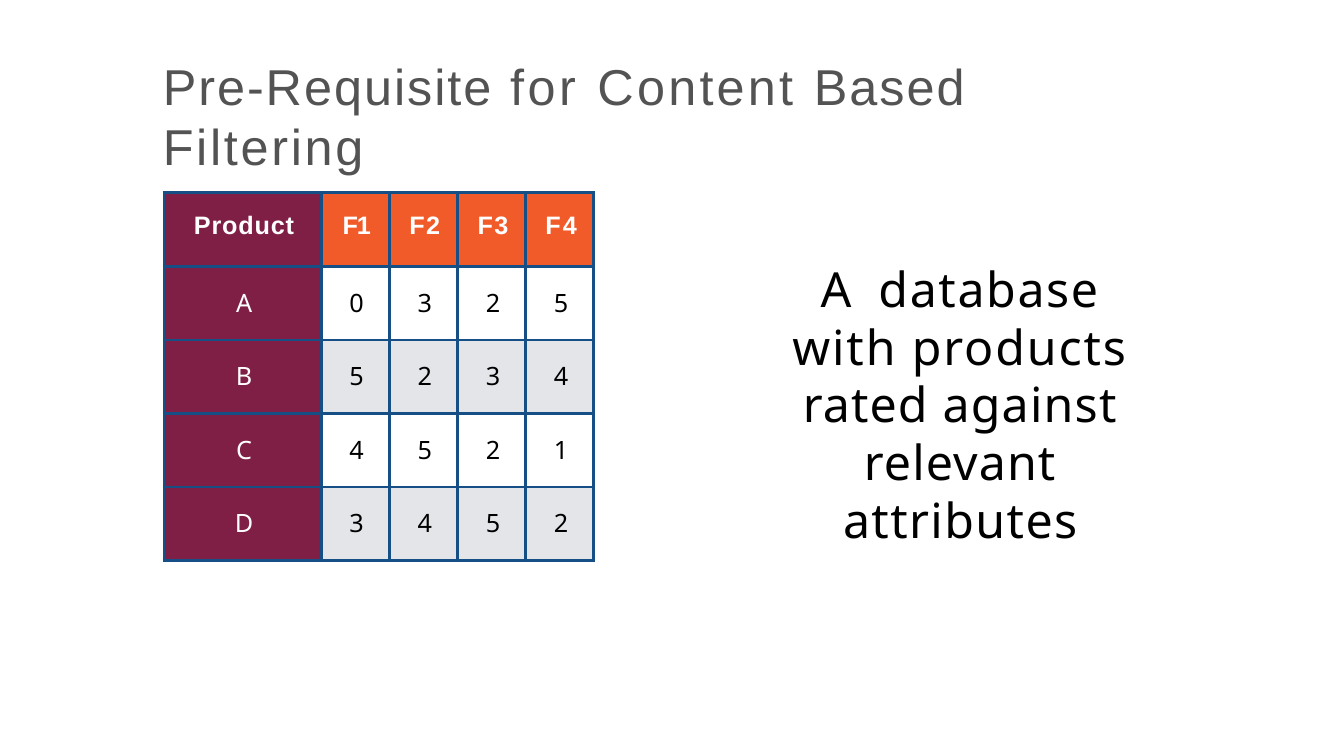
from lxml.etree import SubElement
from pptx import Presentation
from pptx.dml.color import RGBColor
from pptx.enum.text import MSO_ANCHOR, MSO_AUTO_SIZE, PP_ALIGN
from pptx.oxml.ns import qn
from pptx.util import Cm, Pt

COLORS = {
    "title": "535353",
    "body": "000000",
    "light": "FFFFFF",
    "product": "801F46",
    "feature": "F15B2A",
    "band": "E3E5E8",
    "border": "164F86",
}
RATINGS = [
    ["Product", "F1", "F2", "F3", "F4"],
    ["A", "0", "3", "2", "5"],
    ["B", "5", "2", "3", "4"],
    ["C", "4", "5", "2", "1"],
    ["D", "3", "4", "5", "2"],
]
HEADER_SPACING = [0.8, -1.1, 1.3, 1.3, 2.1]
TITLE = [("Pre-Requisite ", 1.9), ("for ", 3.5), ("Content ", 3.1),
         ("Based ", 1.9), ("Filtering", 2.6)]
STATEMENT = [("A ", 6.9), ("database ", 1.6), ("with products ", 1.8),
             ("rated ", 1.1), ("against ", 1.2), ("relevant ", 1.1),
             ("attributes", 1.4)]
TITLE_FONT = {"name": "Arial", "size": Pt(48), "bold": False}
STATEMENT_FONT = {"name": "Noto Sans", "size": Pt(46), "bold": False}
HEADER_FONT = {"name": "Arial", "size": Pt(24), "bold": True}
CELL_FONT = {"name": "Noto Sans", "size": Pt(24), "bold": False}


def apply(obj, values):
    """Set each attribute of an object from a dict."""
    for name, value in values.items():
        setattr(obj, name, value)


def rgb(name):
    """Return the named colour."""
    return RGBColor.from_string(COLORS[name])


def add_runs(p, runs, font, color):
    """Add runs of text, each with its own letter spacing in points."""
    for text, spacing in runs:
        r = p.add_run()
        r.text = text
        apply(r.font, font)
        r.font.color.rgb = rgb(color)
        r._r.get_or_add_rPr().set("spc", str(round(spacing * 100)))


def fill_frame(sp, box, margin_top, align, runs, font, color):
    """Place a text shape and write one paragraph in it."""
    apply(sp, dict(zip(("left", "top", "width", "height"), map(Cm, box))))
    tf = sp.text_frame
    apply(tf, {"word_wrap": True, "auto_size": MSO_AUTO_SIZE.SHAPE_TO_FIT_TEXT,
               "vertical_anchor": MSO_ANCHOR.TOP, "margin_left": 0,
               "margin_right": 0, "margin_bottom": 0, "margin_top": margin_top})
    p = tf.paragraphs[0]
    p.alignment = align
    add_runs(p, runs, font, color)
    return p


def add_borders(cell):
    """Draw the four borders of a table cell."""
    tcPr = cell._tc.get_or_add_tcPr()
    for i, side in enumerate(("lnL", "lnR", "lnT", "lnB")):
        ln = SubElement(tcPr, qn(f"a:{side}"), w=str(Pt(3)))
        fill = SubElement(ln, qn("a:solidFill"))
        SubElement(fill, qn("a:srgbClr"), val=COLORS["border"])
        tcPr.insert(i, ln)


def cell_fill(row, col):
    """Return the fill colour name for a table position."""
    if col == 0:
        return "product"
    if row == 0:
        return "feature"
    return "band" if row % 2 == 0 else "light"


def format_cell(cell, row, col):
    """Fill, border and write one cell of the rating table."""
    cell.fill.solid()
    cell.fill.fore_color.rgb = rgb(cell_fill(row, col))
    add_borders(cell)
    apply(cell, {"margin_left": Cm(0.1), "margin_right": 0,
                 "margin_top": Cm(0.64), "margin_bottom": 0})
    p = cell.text_frame.paragraphs[0]
    p.alignment = PP_ALIGN.CENTER
    spacing = HEADER_SPACING[col] if row == 0 else 0
    font = HEADER_FONT if row == 0 else CELL_FONT
    color = "light" if row == 0 or col == 0 else "body"
    add_runs(p, [(RATINGS[row][col], spacing)], font, color)


def add_rating_table(s):
    """Add the table of product ratings."""
    rows, cols = len(RATINGS), len(RATINGS[0])
    frame = s.shapes.add_table(rows, cols, Cm(5.51), Cm(6.48), Cm(14.44), Cm(12.35))
    table = frame.table
    for i, column in enumerate(table.columns):
        column.width = Cm(5.28 if i == 0 else 2.29)
    for i, row in enumerate(table.rows):
        row.height = Cm(2.47)
        for j, cell in enumerate(row.cells):
            format_cell(cell, i, j)


def main():
    """Build the slide and save it."""
    prs = Presentation()
    apply(prs, {"slide_width": Cm(45.16), "slide_height": Cm(25.4)})
    s = prs.slides.add_slide(prs.slide_layouts[5])
    fill_frame(s.shapes.title, (5.47, 1.8, 34.29, 2.11), Cm(0.05),
               PP_ALIGN.LEFT, TITLE, TITLE_FONT, "title")
    add_rating_table(s)
    sp = s.shapes.add_textbox(0, 0, 0, 0)
    p = fill_frame(sp, (25.6, 8.61, 13.34, 7.85), Cm(0.1),
                   PP_ALIGN.CENTER, STATEMENT, STATEMENT_FONT, "body")
    apply(p, {"line_spacing": Pt(55), "space_before": Pt(3)})
    prs.save("out.pptx")


if __name__ == "__main__":
    main()
